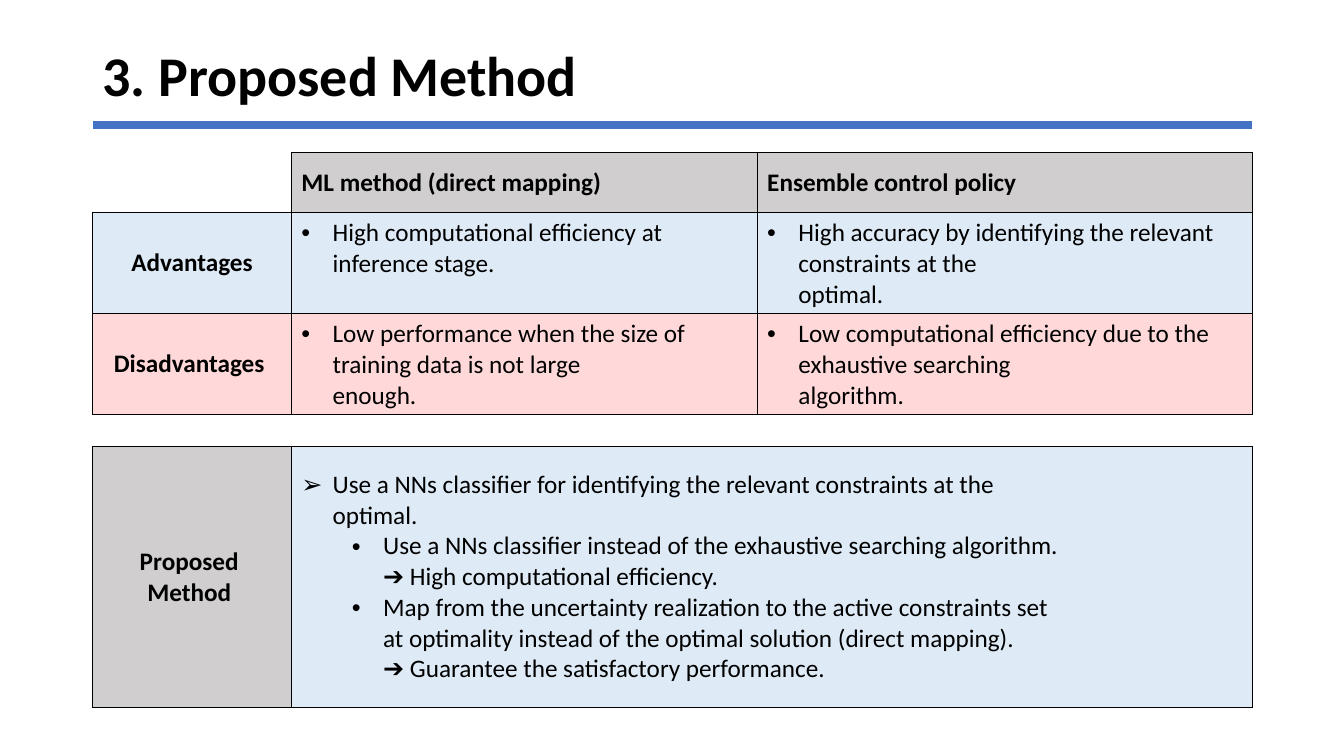
from lxml import etree
from pptx import Presentation
from pptx.dml.color import RGBColor
from pptx.enum.shapes import MSO_CONNECTOR
from pptx.enum.text import MSO_ANCHOR, PP_ALIGN
from pptx.oxml.ns import qn
from pptx.util import Inches, Pt

STRAIGHT = MSO_CONNECTOR.STRAIGHT
TOP, MIDDLE = MSO_ANCHOR.TOP, MSO_ANCHOR.MIDDLE
LEFT, CENTER = PP_ALIGN.LEFT, PP_ALIGN.CENTER

BLACK = RGBColor(0x00, 0x00, 0x00)
BLUE = RGBColor(0x44, 0x72, 0xC4)
GRAY = RGBColor(0xD0, 0xCE, 0xCE)
PALE_BLUE = RGBColor(0xDE, 0xEB, 0xF7)
RED = RGBColor(0xFF, 0x00, 0x00)

MARGIN, WIDTH = 0.92, 11.5
LABEL_W = 1.97
HANGING = 0.31


class SlideBuilder:
    font = "Calibri"
    body_size = 18

    def __init__(self, prs):
        self.s = prs.slides.add_slide(prs.slide_layouts[6])

    def style(self, p, size, bold):
        for r in p.runs:
            r.font.name = self.font
            r.font.size = Pt(size)
            r.font.bold = bold
            r.font.color.rgb = BLACK

    def title(self, text, x, y, w, h):
        tf = self.s.shapes.add_textbox(Inches(x), Inches(y), Inches(w), Inches(h)).text_frame
        tf.word_wrap = True
        tf.vertical_anchor = MIDDLE
        p = tf.paragraphs[0]
        p.text = text
        p.line_spacing = 0.9
        self.style(p, 40, True)

    def rule(self, x, y, w):
        line = self.s.shapes.add_connector(
            STRAIGHT, Inches(x), Inches(y), Inches(x + w), Inches(y))
        line.line.color.rgb = BLUE
        line.line.width = Pt(6.13)
        etree.SubElement(line._element.spPr, qn("a:effectLst"))

    def table(self, x, y, cols, rows):
        frame = self.s.shapes.add_table(
            len(rows), len(cols), Inches(x), Inches(y), Inches(sum(cols)), Inches(sum(rows)))
        table = frame.table
        table.first_row = table.horz_banding = False
        for column, w in zip(table.columns, cols):
            column.width = Inches(w)
        for row, h in zip(table.rows, rows):
            row.height = Inches(h)
        return table

    def borders(self, cell, sides="LRTB"):
        """Draw black borders on the named sides and clear the others."""
        tcPr = cell._tc.get_or_add_tcPr()
        for side in "LRTB":
            ln = etree.SubElement(tcPr, qn("a:ln" + side), w=str(Pt(1)))
            if side in sides:
                fill = etree.SubElement(ln, qn("a:solidFill"))
                etree.SubElement(fill, qn("a:srgbClr"), val=str(BLACK))
            else:
                etree.SubElement(ln, qn("a:noFill"))

    def fill(self, cell, color):
        cell.fill.solid()
        cell.fill.fore_color.rgb = color
        if color == RED:
            clr = cell._tc.tcPr.find(".//" + qn("a:solidFill") + "[last()]/" + qn("a:srgbClr"))
            clr = cell._tc.tcPr.find(qn("a:solidFill")).find(qn("a:srgbClr"))
            etree.SubElement(clr, qn("a:alpha"), val="15000")

    def label(self, cell, text, color, align=CENTER):
        self.borders(cell)
        self.fill(cell, color)
        cell.vertical_anchor = MIDDLE
        p = cell.text_frame.paragraphs[0]
        p.text = text
        p.alignment = align
        self.style(p, self.body_size, True)

    def bullets(self, cell, items, color, anchor=TOP):
        """Fill a cell with (level, bullet, text) items."""
        self.borders(cell)
        self.fill(cell, color)
        cell.vertical_anchor = anchor
        tf = cell.text_frame
        for i, (level, bullet, text) in enumerate(items):
            p = tf.add_paragraph() if i else tf.paragraphs[0]
            p.text = text
            p.level = level
            pPr = p._p.get_or_add_pPr()
            pPr.set("marL", str(Inches(HANGING + 0.5 * level)))
            pPr.set("indent", str(-Inches(HANGING)))
            etree.SubElement(pPr, qn("a:buFont"), typeface="Arial")
            etree.SubElement(pPr, qn("a:buChar"), char=bullet)
            self.style(p, self.body_size, False)


HEADERS = ["ML method (direct mapping)", "Ensemble control policy"]
COMPARISON = [
    ("Advantages", PALE_BLUE, [
        "High computational efficiency at inference stage.",
        "High accuracy by identifying the relevant constraints at the \voptimal."]),
    ("Disadvantages ", RED, [
        "Low performance when the size of training data is not large \venough.",
        "Low computational efficiency due to the exhaustive searching \valgorithm."]),
]
PROPOSAL = [
    (0, "➢", "Use a NNs classifier for identifying the relevant constraints at the \voptimal."),
    (1, "•", "Use a NNs classifier instead of the exhaustive searching algorithm. \v"
             "➔ High computational efficiency."),
    (1, "•", "Map from the uncertainty realization to the active constraints set \v"
             "at optimality instead of the optimal solution (direct mapping). \v"
             "➔ Guarantee the satisfactory performance."),
]


def main():
    prs = Presentation()
    prs.slide_width, prs.slide_height = Inches(13.33), Inches(7.5)
    b = SlideBuilder(prs)
    b.title("3. Proposed Method", MARGIN, 0.4, WIDTH, 0.75)
    b.rule(MARGIN, 1.24, WIDTH)

    comparison = b.table(MARGIN, 1.51, [LABEL_W, 4.62, 4.91], [0.6, 1.0, 1.0])
    corner = comparison.cell(0, 0)
    b.borders(corner, "RB")
    corner.fill.background()
    for col, header in enumerate(HEADERS, 1):
        b.label(comparison.cell(0, col), header, GRAY, LEFT)
    for row, (name, color, points) in enumerate(COMPARISON, 1):
        b.label(comparison.cell(row, 0), name, color)
        for col, point in enumerate(points, 1):
            b.bullets(comparison.cell(row, col), [(0, "•", point)], color)

    proposal = b.table(MARGIN, 4.43, [LABEL_W, WIDTH - LABEL_W], [2.59])
    b.label(proposal.cell(0, 0), "Proposed \vMethod ", GRAY)
    b.bullets(proposal.cell(0, 1), PROPOSAL, PALE_BLUE, MIDDLE)
    prs.save("out.pptx")


if __name__ == "__main__":
    main()
